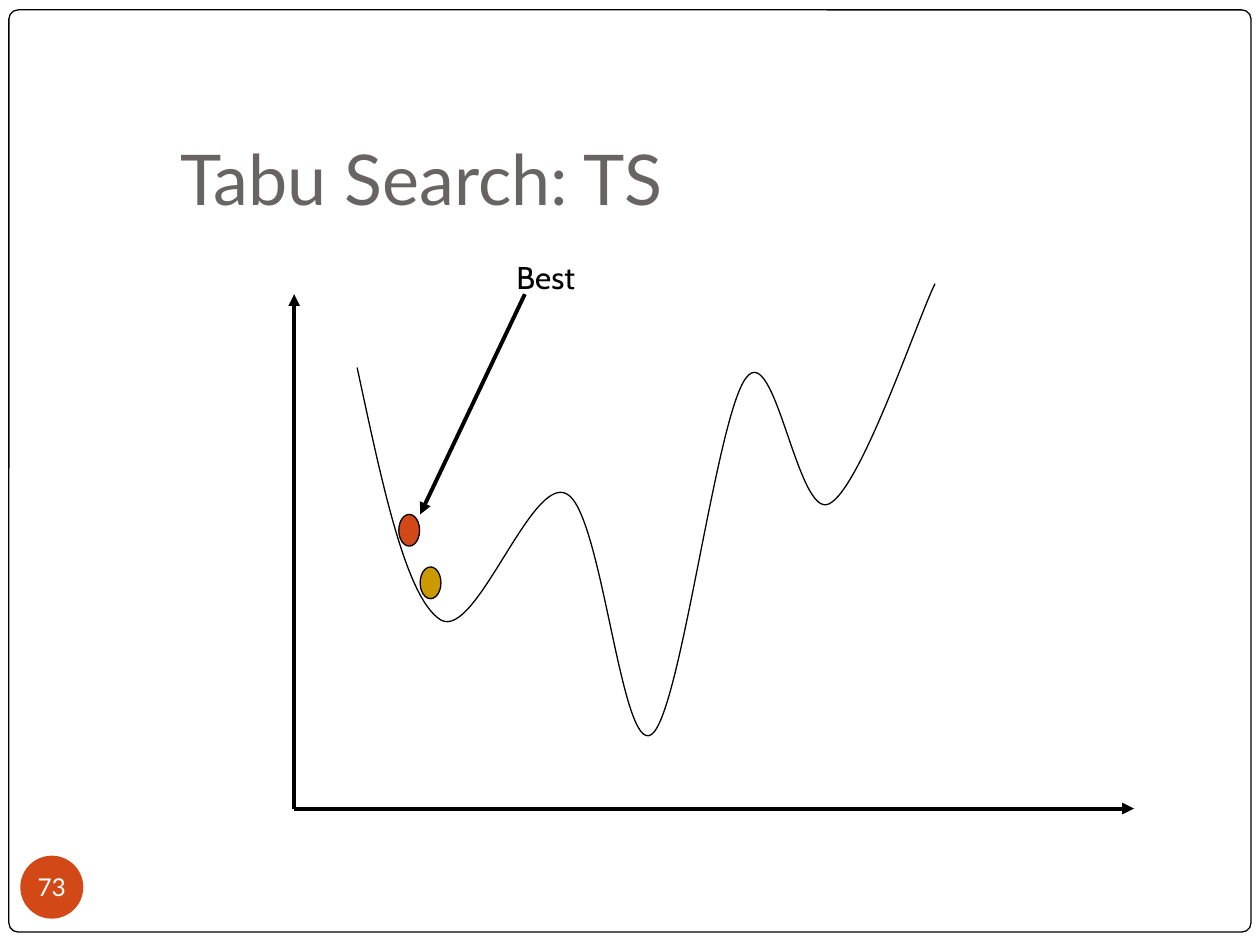
from lxml import etree
from pptx import Presentation
from pptx import util as u
from pptx.dml.color import RGBColor
from pptx.enum import shapes, text
from pptx.oxml import ns

BLACK = RGBColor(0x00, 0x00, 0x00)
WHITE = RGBColor(0xFF, 0xFF, 0xFF)
GRAY = RGBColor(0x69, 0x64, 0x64)
ORANGE = RGBColor(0xD3, 0x48, 0x17)
GOLD = RGBColor(0xCC, 0x99, 0x00)

TITLE = "Tabu Search: TS"
PAGE_NUMBER = "73"
BEST_LABEL = "Best"

ORIGIN = (5.93, 16.3)
VERTICAL_END = (5.93, 5.93)
HORIZONTAL_END = (22.86, 16.3)
BEST_ARROW = ((10.58, 5.93), (8.47, 10.37))
BEST_SOLUTION = (8.04, 10.37)
NEXT_SOLUTION = (8.47, 11.43)
SOLUTION_SIZE = (0.42, 0.64)
CURVE_START = (7.2, 7.41)
CURVE_PIECES = [
    ((7.7, 9.73), (8.18, 12.07), (8.89, 12.5)),
    ((9.6, 12.9), (10.72, 9.55), (11.43, 9.96)),
    ((12.14, 10.34), (12.52, 15.21), (13.13, 14.81)),
    ((13.72, 14.43), (14.43, 8.41), (15.04, 7.62)),
    ((15.62, 6.83), (16.08, 10.46), (16.71, 10.16)),
    ((17.35, 9.86), (18.49, 6.45), (18.85, 5.72)),
]


def write_text(shape, content, size, font="Lato", color=BLACK,
               align=text.PP_ALIGN.LEFT, anchor=text.MSO_ANCHOR.TOP,
               insets=(0.25, 0.13, 0.25, 0.13)):
    frame = shape.text_frame
    frame.word_wrap = True
    frame.auto_size = text.MSO_AUTO_SIZE.NONE
    frame.vertical_anchor = anchor
    (frame.margin_left, frame.margin_top,
     frame.margin_right, frame.margin_bottom) = map(u.Cm, insets)
    paragraph = frame.paragraphs[0]
    paragraph.alignment = align
    run = paragraph.add_run()
    run.text = content
    run.font.size = u.Pt(size)
    run.font.name = font
    run.font.color.rgb = color


def add_filled(slide, kind, box, fill, outlined=True):
    shape = slide.shapes.add_shape(kind, *map(u.Cm, box))
    shape.shadow.inherit = False
    shape.fill.solid()
    shape.fill.fore_color.rgb = fill
    if outlined:
        shape.line.color.rgb = BLACK
        shape.line.width = u.Pt(0.75)
    else:
        shape.line.fill.background()
    return shape


def add_arrow(slide, start, end, tip="a:tailEnd"):
    arrow = slide.shapes.add_connector(
        shapes.MSO_CONNECTOR.STRAIGHT, *map(u.Cm, start + end))
    arrow.line.color.rgb = BLACK
    arrow.line.width = u.Pt(2.25)
    etree.SubElement(arrow.line._get_or_add_ln(), ns.qn(tip), type="triangle")
    etree.SubElement(arrow._element.spPr, ns.qn("a:effectLst"))


def add_curve(slide):
    points = [tuple(map(u.Cm, point)) for piece in CURVE_PIECES for point in piece]
    builder = slide.shapes.build_freeform(*map(u.Cm, CURVE_START))
    builder.add_line_segments(points, close=False)
    curve = builder.convert_to_shape()
    curve.shadow.inherit = False
    curve.fill.background()
    curve.line.color.rgb = BLACK
    curve.line.width = u.Pt(0.75)

    outline = next(curve._element.iter(ns.qn("a:path")))
    segments = outline.findall(ns.qn("a:lnTo"))
    for index in range(0, len(segments), 3):
        bezier = etree.SubElement(outline, ns.qn("a:cubicBezTo"))
        for segment in segments[index:index + 3]:
            bezier.append(segment[0])
            outline.remove(segment)


def main():
    presentation = Presentation()
    presentation.slide_width, presentation.slide_height = u.Cm(25.4), u.Cm(19.05)
    slide = presentation.slides.add_slide(presentation.slide_layouts[5])

    border = add_filled(slide, shapes.MSO_SHAPE.ROUNDED_RECTANGLE,
                        (0.18, 0.2, 25.04, 18.59), WHITE)
    border.adjustments[0] = 0.01
    slide.shapes._spTree.insert(2, border._element)

    title = slide.shapes.title
    title.left, title.top, title.width, title.height = map(u.Cm, (3.39, 2.38, 21.64, 2.29))
    write_text(title, TITLE, 40, color=GRAY, anchor=text.MSO_ANCHOR.BOTTOM,
               insets=(0.25, 0.13, 0.25, 0.25))

    badge = add_filled(slide, shapes.MSO_SHAPE.OVAL, (0.41, 17.25, 1.27, 1.27),
                       ORANGE, outlined=False)
    write_text(badge, PAGE_NUMBER, 14, color=WHITE, align=text.PP_ALIGN.CENTER,
               anchor=text.MSO_ANCHOR.MIDDLE, insets=(0, 0, 0, 0))

    add_arrow(slide, VERTICAL_END, ORIGIN, tip="a:headEnd")
    add_arrow(slide, ORIGIN, HORIZONTAL_END)
    add_curve(slide)
    add_filled(slide, shapes.MSO_SHAPE.OVAL, BEST_SOLUTION + SOLUTION_SIZE, ORANGE)
    label = slide.shapes.add_textbox(*map(u.Cm, (10.16, 5.08, 2.96, 1.02)))
    write_text(label, BEST_LABEL, 18, font="Cabin")
    add_arrow(slide, *BEST_ARROW)
    add_filled(slide, shapes.MSO_SHAPE.OVAL, NEXT_SOLUTION + SOLUTION_SIZE, GOLD)

    presentation.save("out.pptx")


if __name__ == "__main__":
    main()
